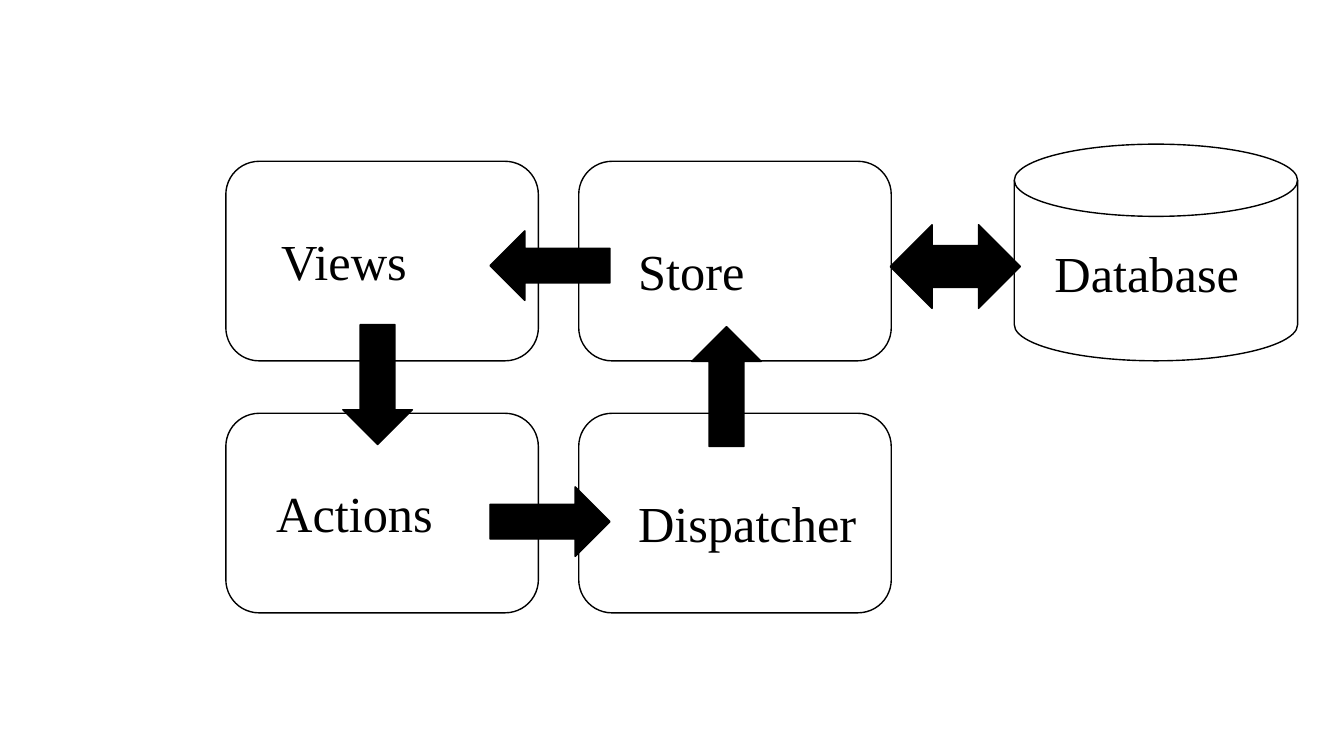
import pptx
import pptx.util
import pptx.dml.color
import pptx.enum.shapes
import pptx.enum.text

Inches = pptx.util.Inches
Shape = pptx.enum.shapes.MSO_SHAPE
BLACK = pptx.dml.color.RGBColor(0, 0, 0)
FONT = "Times New Roman"

COLS = (2.24, 5.74)
ROWS = (4.1, 1.6)
BOX_W, BOX_H = 3.1, 1.98
ARROW_W, ARROW_H = 0.69, 1.19


def add_shape(slide, kind, left, top, width, height, solid=False, turn=0):
    """Draw a black-lined shape, filled black when solid."""
    shape = slide.shapes.add_shape(
        kind, Inches(left), Inches(top), Inches(width), Inches(height))
    shape.shadow.inherit = False
    shape.rotation = turn
    if solid:
        shape.fill.solid()
        shape.fill.fore_color.rgb = BLACK
    else:
        shape.fill.background()
    shape.line.color.rgb = BLACK
    shape.line.width = pptx.util.Pt(1)


def add_label(slide, text, left, top, width=2.21):
    """Write one large label."""
    box = slide.shapes.add_textbox(
        Inches(left), Inches(top), Inches(width), Inches(0.71))
    frame = box.text_frame
    frame.word_wrap = True
    frame.auto_size = pptx.enum.text.MSO_AUTO_SIZE.SHAPE_TO_FIT_TEXT
    frame.text = text
    font = frame.paragraphs[0].runs[0].font
    font.name = FONT
    font.size = pptx.util.Pt(36)
    font.color.rgb = BLACK


def main():
    deck = pptx.Presentation()
    deck.slide_width = Inches(13.33)
    deck.slide_height = Inches(7.5)
    slide = deck.slides.add_slide(deck.slide_layouts[6])

    # Grid of boxes
    for left in COLS:
        for top in ROWS:
            add_shape(slide, Shape.ROUNDED_RECTANGLE, left, top, BOX_W, BOX_H)

    # Box labels
    add_label(slide, "Dispatcher", 6.23, 4.83, 2.44)
    add_label(slide, "Actions", 2.64, 4.73)
    add_label(slide, "Views", 2.69, 2.23)
    add_label(slide, "Store", 6.23, 2.33)

    # Cycle of arrows, each a turned down arrow
    for left, top, turn in ((5.11, 4.58, 270), (3.4, 3.22, 0),
                            (6.86, 3.24, 180), (5.11, 2.04, 90)):
        add_shape(slide, Shape.DOWN_ARROW, left, top, ARROW_W, ARROW_H,
                  solid=True, turn=turn)

    # Database and its two-way link to the store
    add_shape(slide, Shape.FLOWCHART_MAGNETIC_DISK, 10.06, 1.43, 2.81, 2.15)
    add_label(slide, "Database", 10.36, 2.35)
    add_shape(slide, Shape.LEFT_RIGHT_ARROW, 8.83, 2.23, 1.29, 0.83, solid=True)

    deck.save("out.pptx")


if __name__ == "__main__":
    main()
